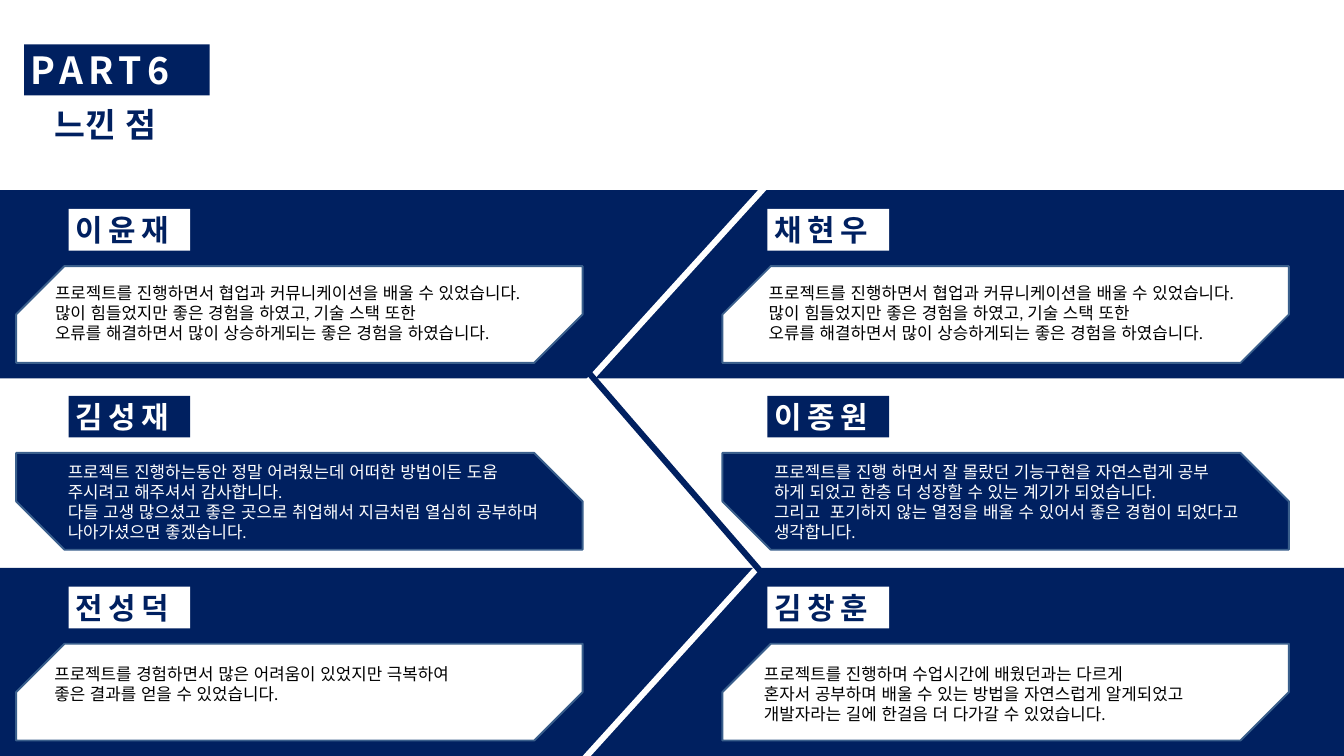
from pptx import Presentation
from pptx.dml.color import RGBColor
from pptx.enum.shapes import MSO_CONNECTOR, MSO_SHAPE
from pptx.enum.text import MSO_ANCHOR
from pptx.oxml.ns import qn
from pptx.util import Pt
from lxml.etree import SubElement

PX = 9144  # 100 px to the inch
WIDTH, HEIGHT = 2000, 1125
NAVY, WHITE, BLACK, EDGE = "002060", "FFFFFF", "000000", "3A5F8C"
KOREAN, LATIN = "Noto Sans CJK KR", "Calibri"

TEAMWORK = [
    "프로젝트를 진행하면서 협업과 커뮤니케이션을 배울 수 있었습니다. "
    "많이 힘들었지만 좋은 경험을 하였고, 기술 스택 또한",
    "오류를 해결하면서 많이 상승하게되는 좋은 경험을 하였습니다.",
]

# Each row: name top, text top, text height, on a navy band?, people as (name, text left, paragraphs)
ROWS = [
    (311, 416, 99, True, [("이윤재", 72, TEAMWORK), ("채현우", 1134, TEAMWORK)]),
    (589, 682, 129, False, [
        ("김성재", 91, [
            "프로젝트 진행하는동안 정말 어려웠는데 어떠한 방법이든 도움 주시려고 해주셔서 감사합니다.",
            "다들 고생 많으셨고 좋은 곳으로 취업해서 지금처럼 열심히 공부하며 나아가셨으면 좋겠습니다.",
        ]),
        ("이종원", 1142, [
            "프로젝트를 진행 하면서 잘 몰랐던 기능구현을 자연스럽게 공부",
            "하게 되었고 한층 더 성장할 수 있는 계기가 되었습니다.",
            "그리고  포기하지 않는 열정을 배울 수 있어서 좋은 경험이 되었다고 생각합니다.",
        ]),
    ]),
    (873, 983, 99, True, [
        ("전성덕", 71, [
            "프로젝트를 경험하면서 많은 어려움이 있었지만 극복하여",
            "좋은 결과를 얻을 수 있었습니다.",
        ]),
        ("김창훈", 1127, [
            "프로젝트를 진행하며 수업시간에 배웠던과는 다르게",
            "혼자서 공부하며 배울 수 있는 방법을 자연스럽게 알게되었고",
            "개발자라는 길에 한걸음 더 다가갈 수 있었습니다.",
        ]),
    ]),
]
COLUMNS = [(102, 24), (1142, 1075)]  # name left, card left
BANDS = [283, 845]
DIVIDERS = [  # from x, y, to x, y, colour
    (1184, 228, 816, 633, WHITE),
    (1184, 782, 816, 1188, WHITE),
    (866, 543, 1142, 862, NAVY),
]


def rgb(color):
    return RGBColor.from_string(color)


def box(px):
    return [v * PX for v in px]


def add_block(slide, px, fill, kind=MSO_SHAPE.RECTANGLE):
    sp = slide.shapes.add_shape(kind, *box(px))
    sp.shadow.inherit = False
    sp.fill.solid()
    sp.fill.fore_color.rgb = rgb(fill)
    sp.line.fill.background()
    return sp


def add_card(slide, px, fill, snips):
    sp = add_block(slide, px, fill, MSO_SHAPE.SNIP_2_DIAG_RECTANGLE)
    sp.adjustments[0], sp.adjustments[1] = snips
    sp.line.color.rgb = rgb(EDGE)
    sp.line.width = Pt(2)


def write(sp, paragraphs, size, color, font=KOREAN, bold=False, spacing=0):
    """Fill a shape with left-aligned paragraphs; spacing is in points between letters."""
    tf = sp.text_frame
    tf.word_wrap = True
    tf.text = "\n".join(paragraphs)
    for p in tf.paragraphs:
        for r in p.runs:
            r.font.size, r.font.bold, r.font.name = Pt(size), bold, font
            r.font.color.rgb = rgb(color)
            rPr = r.font._element
            SubElement(rPr, qn("a:ea")).set("typeface", KOREAN)
            rPr.set("lang", "ko-KR")
            if spacing:
                rPr.set("spc", str(spacing * 100))


def add_label(slide, px, text, size, color, fill):
    sp = add_block(slide, px, fill)
    write(sp, [text], size, color, bold=True, spacing=6)
    tf = sp.text_frame
    tf.word_wrap = False
    tf.vertical_anchor = MSO_ANCHOR.MIDDLE
    tf.margin_top = tf.margin_bottom = 0
    tf.paragraphs[0].alignment = 1


def add_text(slide, px, paragraphs, size, color, **style):
    write(slide.shapes.add_textbox(*box(px)), paragraphs, size, color, **style)


def add_divider(slide, ends, color):
    line = slide.shapes.add_connector(MSO_CONNECTOR.STRAIGHT, *box(ends))
    line.line.color.rgb = rgb(color)
    line.line.width = Pt(6.5)
    SubElement(line._element.spPr, qn("a:effectLst"))


def main():
    prs = Presentation()
    prs.slide_width, prs.slide_height = WIDTH * PX, HEIGHT * PX
    s = prs.slides.add_slide(prs.slide_layouts[6])

    for top in BANDS:
        add_block(s, (0, top, WIDTH, 280), NAVY)
    for *ends, color in DIVIDERS:
        add_divider(s, ends, color)

    add_label(s, (36, 66, 276, 76), "PART6", 40, WHITE, NAVY)
    add_text(s, (71, 149, 1039, 70), ["느낀 점"], 36, NAVY, bold=True)

    for top, text_top, text_height, on_band, people in ROWS:
        fill, name_color, text_color = (WHITE, NAVY, BLACK) if on_band else (NAVY, WHITE, WHITE)
        snips = (0.5, 0) if on_band else (0, 0.5)
        for (name_left, card_left), (name, text_left, paragraphs) in zip(COLUMNS, people):
            add_label(s, (name_left, top, 181, 62), name, 32, name_color, fill)
            add_card(s, (card_left, top + 85, 843, 144), fill, snips)
            add_text(s, (text_left, text_top, 739, text_height), paragraphs, 18, text_color, font=LATIN)

    prs.save("out.pptx")


if __name__ == "__main__":
    main()
